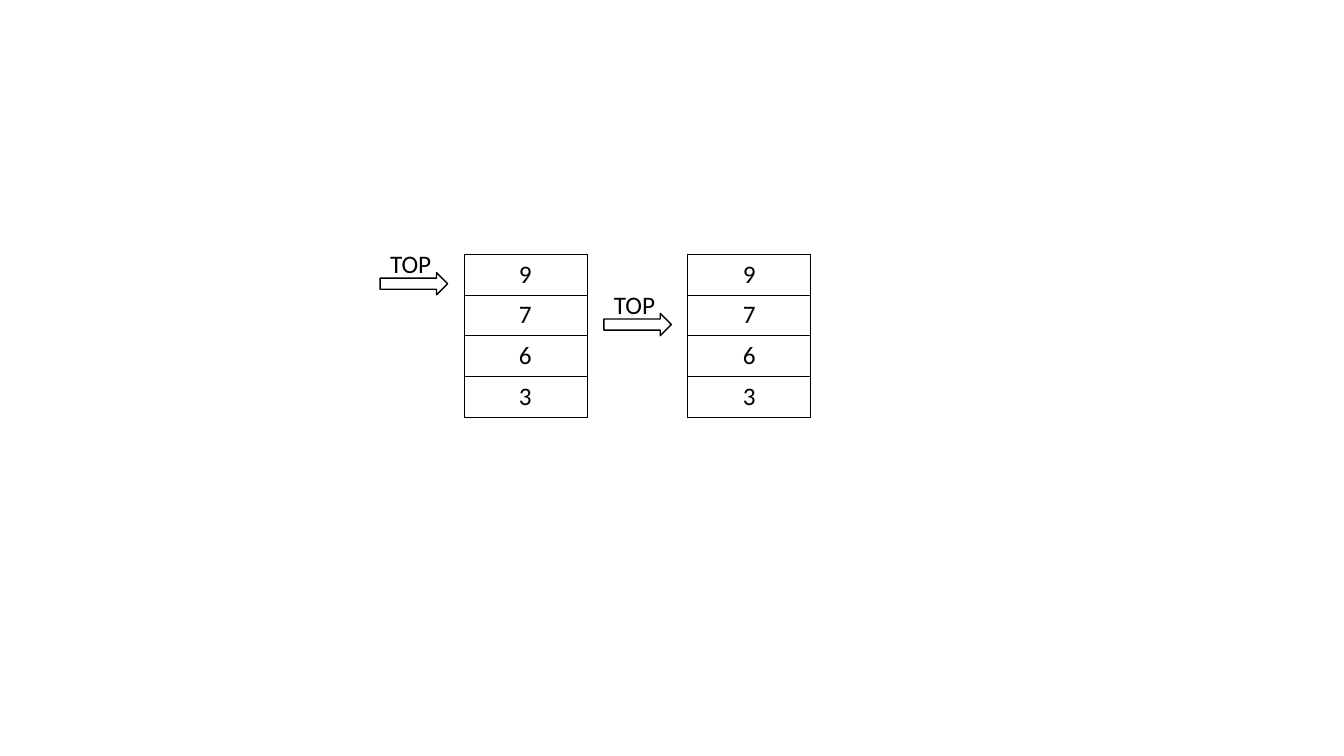
from dataclasses import dataclass

from lxml.etree import SubElement
from pptx import Presentation
from pptx.dml.color import RGBColor
from pptx.enum.shapes import MSO_SHAPE
from pptx.enum.text import MSO_ANCHOR, MSO_AUTO_SIZE, PP_ALIGN
from pptx.oxml.ns import qn
from pptx.slide import Slide
from pptx.table import _Cell
from pptx.text.text import TextFrame
from pptx.util import Cm, Pt

COLORS = {"ink": "000000", "paper": "FFFFFF"}
FONT = "Calibri"
VALUES = ("9", "7", "6", "3")

# Lengths in centimetres
STACK_TOP = 6.4
CELL_W, CELL_H = 3.1, 1.03
MARK_W = 1.7
MARK_GAP = 2.11  # from pointer's left edge to the stack


@dataclass
class Stack:
    left: float
    top_row: int  # row that the TOP pointer marks


STACKS = [Stack(left=11.69, top_row=0), Stack(left=17.33, top_row=1)]


def style(frame: TextFrame, align: PP_ALIGN) -> None:
    for para in frame.paragraphs:
        para.alignment = align
        for run in para.runs:
            run.font.name = FONT
            run.font.size = Pt(18)
            run.font.color.rgb = RGBColor.from_string(COLORS["ink"])


def add_border(cell: _Cell) -> None:
    props = cell._tc.get_or_add_tcPr()
    for side in ("lnL", "lnR", "lnT", "lnB"):
        line = SubElement(props, qn(f"a:{side}"), w=str(Pt(0.5)))
        fill = SubElement(line, qn("a:solidFill"))
        SubElement(fill, qn("a:srgbClr"), val=COLORS["ink"])


def draw_stack(slide: Slide, stack: Stack) -> None:
    table = slide.shapes.add_table(
        len(VALUES), 1, Cm(stack.left), Cm(STACK_TOP),
        Cm(CELL_W), Cm(CELL_H * len(VALUES))).table
    table.first_row = False
    table.horz_banding = False
    for row, value in zip(table.rows, VALUES):
        row.height = Cm(CELL_H)
        cell = row.cells[0]
        cell.text_frame.text = value
        cell.vertical_anchor = MSO_ANCHOR.TOP
        style(cell.text_frame, PP_ALIGN.CENTER)
        add_border(cell)
        cell.fill.solid()
        cell.fill.fore_color.rgb = RGBColor.from_string(COLORS["paper"])


def draw_mark(slide: Slide, stack: Stack) -> None:
    left = Cm(stack.left - MARK_GAP)
    top = STACK_TOP + stack.top_row * CELL_H

    # Block arrow
    arrow = slide.shapes.add_shape(
        MSO_SHAPE.RIGHT_ARROW, left, Cm(top + 0.47), Cm(MARK_W), Cm(0.56))
    arrow.shadow.inherit = False
    arrow.fill.background()
    arrow.line.color.rgb = RGBColor.from_string(COLORS["ink"])
    arrow.line.width = Pt(1)

    # Label above the arrow
    label = slide.shapes.add_textbox(left, Cm(top - 0.27), Cm(MARK_W), Cm(1.03))
    frame = label.text_frame
    frame.word_wrap = True
    frame.auto_size = MSO_AUTO_SIZE.SHAPE_TO_FIT_TEXT
    frame.text = "TOP"
    style(frame, PP_ALIGN.LEFT)


def main() -> None:
    deck = Presentation()
    deck.slide_width, deck.slide_height = Cm(33.87), Cm(19.05)
    slide = deck.slides.add_slide(deck.slide_layouts[6])
    for stack in STACKS:
        draw_stack(slide, stack)
    for stack in STACKS:
        draw_mark(slide, stack)
    deck.save("out.pptx")


if __name__ == "__main__":
    main()
